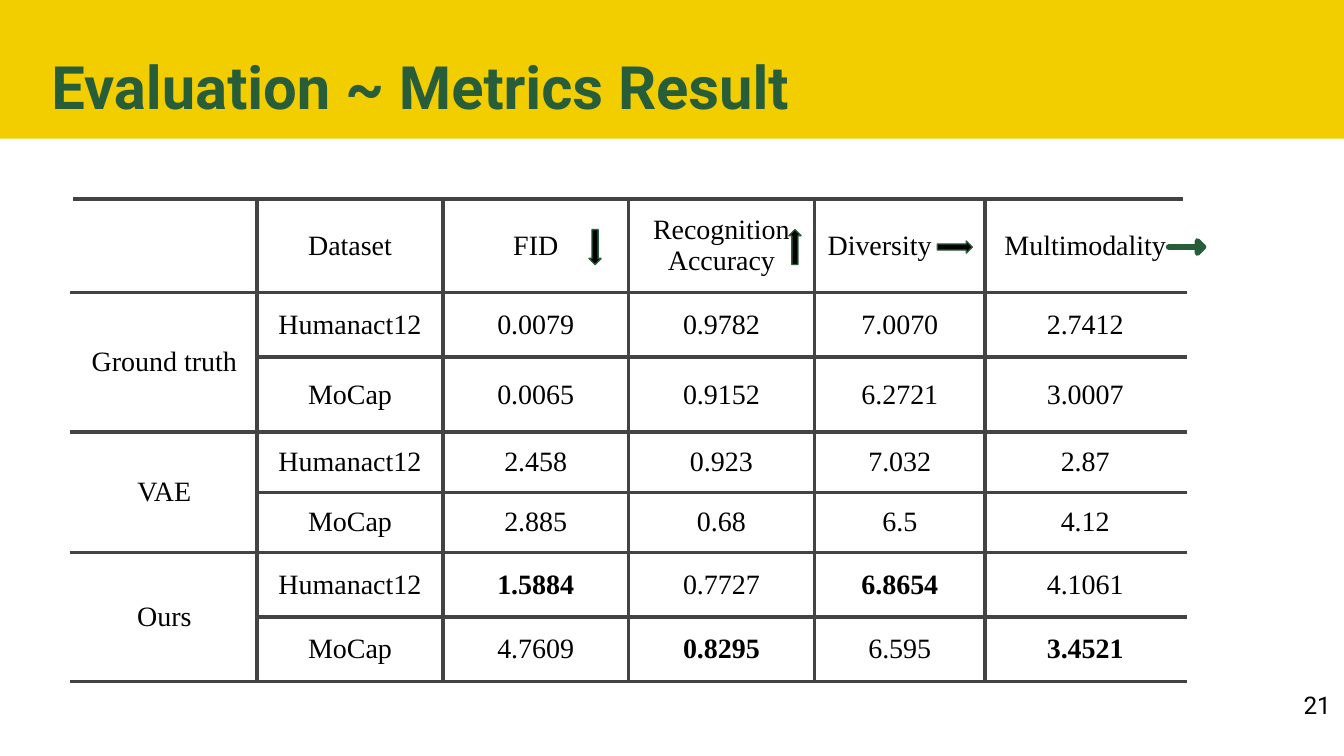
from dataclasses import dataclass

from lxml import etree
from pptx import Presentation
from pptx.dml.color import RGBColor
from pptx.enum.shapes import MSO_SHAPE
from pptx.enum.text import MSO_ANCHOR, PP_ALIGN
from pptx.oxml.ns import qn
from pptx.util import Cm, Pt

RECTANGLE = MSO_SHAPE.RECTANGLE
UP_ARROW = MSO_SHAPE.UP_ARROW
MIDDLE = MSO_ANCHOR.MIDDLE
TOP = MSO_ANCHOR.TOP
LEFT, CENTER, RIGHT = PP_ALIGN.LEFT, PP_ALIGN.CENTER, PP_ALIGN.RIGHT


@dataclass(frozen=True)
class Theme:
    yellow: str = "F2CD00"
    green: str = "275D38"
    black: str = "000000"
    rule: str = "434343"
    white: str = "FFFFFF"
    heading_font: str = "Roboto"
    table_font: str = "Times New Roman"
    title_size: float = 32
    number_size: float = 13
    table_size: float = 15
    rule_width: float = 2.25


@dataclass(frozen=True)
class TextStyle:
    font: str
    size: float
    color: str
    bold: bool = False


@dataclass(frozen=True)
class TextArea:
    text: str
    left: float
    top: float
    width: float
    height: float
    inset: float
    align: PP_ALIGN
    anchor: MSO_ANCHOR
    style: TextStyle


@dataclass(frozen=True)
class TrendArrow:
    left: float
    rotation: int
    shaft: float = 0.5
    line_width: float = 0.75


THEME = Theme()
TEXT_AREAS = [
    TextArea("Evaluation ~ Metrics Result", 0.97, 0.99, 23.83, 1.27, 0, LEFT, MIDDLE,
             TextStyle(THEME.heading_font, THEME.title_size, THEME.green, True)),
    TextArea("21", 23.88, 12.8, 1.52, 1.09, 0.25, RIGHT, TOP,
             TextStyle(THEME.heading_font, THEME.number_size, THEME.black)),
]
COLUMN_WIDTHS = [3.51, 3.51, 3.51, 3.51, 3.23, 3.78]
ROW_HEIGHTS = [1.22, 1.22, 1.42, 1.02, 1.12, 1.22, 1.22]
METRICS = [
    ["", "Dataset", "FID", "Recognition Accuracy", "Diversity", "Multimodality"],
    ["Ground truth", "Humanact12", "0.0079", "0.9782", "7.0070", "2.7412"],
    ["", "MoCap", "0.0065", "0.9152", "6.2721", "3.0007"],
    ["VAE", "Humanact12", "2.458", "0.923", "7.032", "2.87"],
    ["", "MoCap", "2.885", "0.68", "6.5", "4.12"],
    ["Ours", "Humanact12", "1.5884", "0.7727", "6.8654", "4.1061"],
    ["", "MoCap", "4.7609", "0.8295", "6.595", "3.4521"],
]
BEST_SCORES = {(5, 2), (5, 4), (6, 3), (6, 5)}
ARROWS = [
    TrendArrow(11.13, 180),
    TrendArrow(14.91, 0),
    TrendArrow(17.93, 90),
    TrendArrow(22.3, 90, shaft=0, line_width=3),
]


def add_span(para, text: str, style: TextStyle) -> None:
    span = para.add_run()
    span.text = text
    span.font.name = style.font
    span.font.size = Pt(style.size)
    span.font.bold = style.bold
    span.font.color.rgb = RGBColor.from_string(style.color)


def draw_band(page) -> None:
    band = page.shapes.add_shape(RECTANGLE, 0, 0, Cm(25.4), Cm(2.62))
    band.shadow.inherit = False
    band.fill.solid()
    band.fill.fore_color.rgb = RGBColor.from_string(THEME.yellow)
    band.line.fill.background()


def draw_text(page, area: TextArea) -> None:
    box = page.shapes.add_textbox(Cm(area.left), Cm(area.top), Cm(area.width), Cm(area.height))
    frame = box.text_frame
    frame.word_wrap = True
    frame.vertical_anchor = area.anchor
    frame.margin_left = frame.margin_right = Cm(area.inset)
    frame.margin_top = frame.margin_bottom = Cm(area.inset)
    para = frame.paragraphs[0]
    para.alignment = area.align
    add_span(para, area.text, area.style)


def set_borders(cell, column: int) -> None:
    colors = {
        "a:lnL": THEME.white if column == 0 else THEME.rule,
        "a:lnR": THEME.white if column == len(COLUMN_WIDTHS) - 1 else THEME.rule,
        "a:lnT": THEME.rule,
        "a:lnB": THEME.rule,
    }
    properties = cell._tc.get_or_add_tcPr()
    for tag, color in colors.items():
        border = etree.SubElement(properties, qn(tag), w=str(Pt(THEME.rule_width)))
        fill = etree.SubElement(border, qn("a:solidFill"))
        etree.SubElement(fill, qn("a:srgbClr"), val=color)


def draw_table(page) -> None:
    table = page.shapes.add_table(
        len(ROW_HEIGHTS), len(COLUMN_WIDTHS), Cm(1.35), Cm(3.76),
        Cm(sum(COLUMN_WIDTHS)), Cm(sum(ROW_HEIGHTS))).table
    table.first_row = False
    table.horz_banding = False
    for column, width in zip(table.columns, COLUMN_WIDTHS):
        column.width = Cm(width)
    for row, height in zip(table.rows, ROW_HEIGHTS):
        row.height = Cm(height)
    for row, values in enumerate(METRICS):
        for column, value in enumerate(values):
            cell = table.cell(row, column)
            set_borders(cell, column)
            cell.fill.background()
            cell.vertical_anchor = MIDDLE
            cell.margin_left = cell.margin_right = Cm(0.25)
            cell.margin_top = cell.margin_bottom = Cm(0.25)
            para = cell.text_frame.paragraphs[0]
            para.alignment = LEFT if value == "Diversity" else CENTER
            if value:
                style = TextStyle(THEME.table_font, THEME.table_size, THEME.black,
                                  (row, column) in BEST_SCORES)
                add_span(para, value, style)
    for row in range(1, len(METRICS), 2):
        table.cell(row, 0).merge(table.cell(row + 1, 0))


def draw_arrow(page, arrow: TrendArrow) -> None:
    shape = page.shapes.add_shape(UP_ARROW, Cm(arrow.left), Cm(4.34), Cm(0.23), Cm(0.66))
    shape.shadow.inherit = False
    shape.rotation = arrow.rotation
    shape.adjustments[0] = arrow.shaft
    shape.adjustments[1] = 0.5
    shape.fill.solid()
    shape.fill.fore_color.rgb = RGBColor.from_string(THEME.black)
    shape.line.color.rgb = RGBColor.from_string(THEME.green)
    shape.line.width = Pt(arrow.line_width)


def main() -> None:
    deck = Presentation()
    deck.slide_width = Cm(25.4)
    deck.slide_height = Cm(14.29)
    page = deck.slides.add_slide(deck.slide_layouts[6])
    draw_band(page)
    for area in TEXT_AREAS:
        draw_text(page, area)
    draw_table(page)
    for arrow in ARROWS:
        draw_arrow(page, arrow)
    deck.save("out.pptx")


if __name__ == "__main__":
    main()
